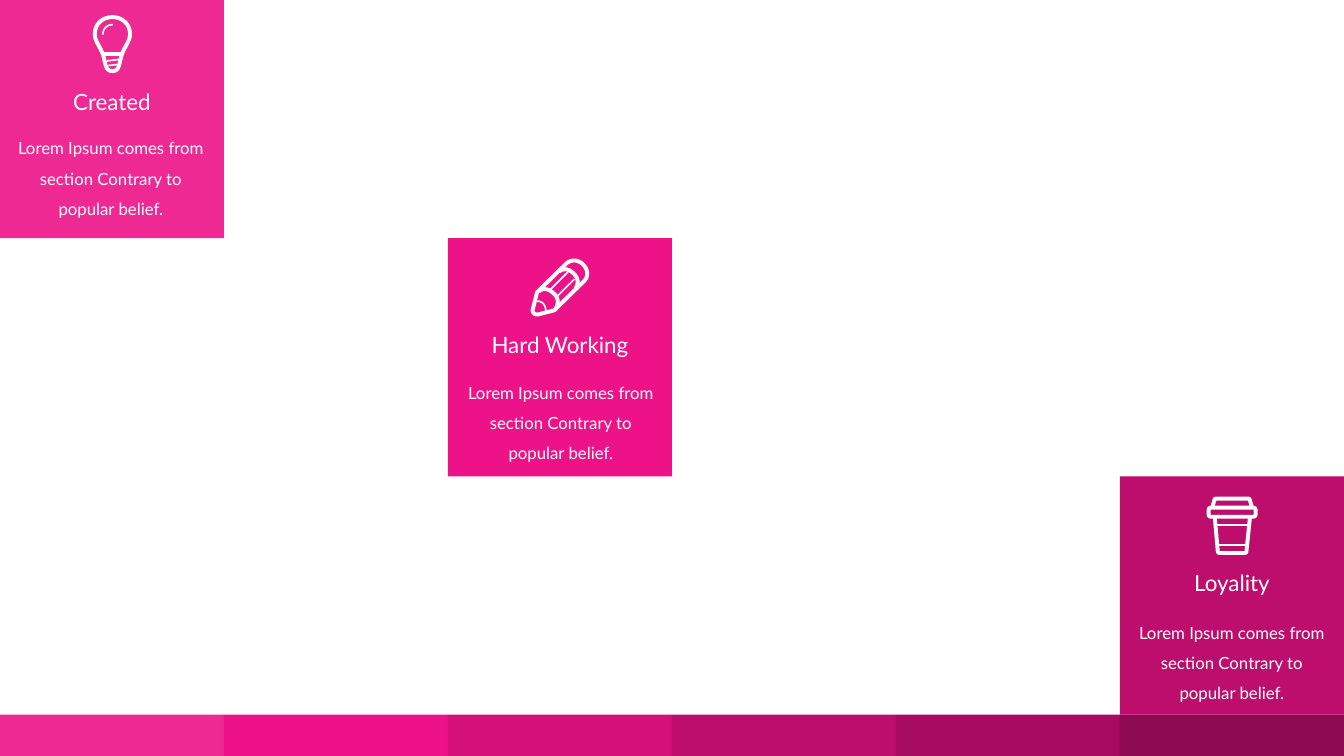
import pptx
import pptx.dml.color
import pptx.enum.shapes
import pptx.enum.text
import pptx.util
from lxml import etree

COLUMNS, ROWS = 6, 3
SHADES = ["EF2994", "EE1289", "D6107B", "BE0E6D", "A60C5F", "8E0A52"]
BODY = "Lorem Ipsum comes from section Contrary to popular belief."
THICK, THIN = 2.8, 1.2

# Icon strokes in hundredths of an inch: (weight, closed, start, *steps).
# A step of two numbers is a straight line, one of six is a cubic curve.
BULB = [
    (THICK, True, (19.5, 2), (9, 2, 2, 9.5, 2, 19), (2, 26, 8, 32, 10.5, 40),
     (13, 50, 13, 55.5, 19.5, 55.5), (26, 55.5, 26, 50, 28.5, 40),
     (31, 32, 37, 26, 37, 19), (37, 9.5, 30, 2, 19.5, 2)),
    (THICK, False, (10.5, 39), (28.5, 39)),
    (THIN, False, (14, 45.5), (26, 44)),
    (THIN, False, (15.5, 50), (24.5, 49)),
    (THIN, False, (10, 19.5), (10, 14, 14, 9.5, 20, 9.5)),
]
PENCIL = [
    (THICK, True, (2, 51), (6, 35), (6, 34, 7, 33, 8, 32), (35.5, 5),
     (40, 1, 47, 1, 52, 6), (57, 11, 57.5, 18, 53, 22.5), (25, 50),
     (24.5, 51, 24, 51, 23.5, 51.5), (8, 55.5), (4.5, 56.5, 1.5, 54, 2, 51)),
    (THICK, False, (8, 33), (12, 29, 18, 30, 23, 35), (28, 39, 28, 46, 24, 51)),
    (THICK, False, (28.5, 13), (33, 9, 39, 11, 43, 15.5),
     (47, 19, 48, 25, 44.5, 30)),
    (THIN, False, (20, 30.5), (37, 13.5)),
    (THIN, False, (26.5, 37.5), (43.5, 20.5)),
    (THIN, False, (6, 42.5), (11, 42, 15, 46, 15, 52)),
]
CUP = [
    (THICK, True, (4, 11), (46, 11), (47.5, 11, 48.5, 12, 48.5, 13), (48.5, 18),
     (48.5, 19, 47.5, 20, 46, 20), (4, 20), (3, 20, 2, 19, 2, 18), (2, 13),
     (2, 12, 3, 11, 4, 11)),
    (THICK, False, (5.5, 11), (7.5, 4), (8, 2.5, 8, 2, 9.5, 2), (41, 2),
     (42.5, 2, 42.5, 2.5, 43, 4), (45, 11)),
    (THICK, False, (8, 20), (11, 54), (11, 55.5, 12, 56, 13, 56), (37.5, 56),
     (38.5, 56, 39.5, 55.5, 39.5, 54), (43, 20)),
    (THIN, False, (10, 28), (41, 28)),
    (THIN, False, (12, 48), (38, 48)),
]


def color(code):
    return pptx.dml.color.RGBColor.from_string(code)


def inches(*lengths):
    return [pptx.util.Inches(length) for length in lengths]


def flatten(start, steps, slices=12):
    """Return the points of a stroke, with its curves cut into short lines."""
    points = [start]
    for step in steps:
        if len(step) == 2:
            points.append(step)
            continue
        anchors = [points[-1], step[:2], step[2:4], step[4:]]
        for part in range(1, slices + 1):
            t = part / slices
            weights = [(1 - t) ** 3, 3 * t * (1 - t) ** 2, 3 * t * t * (1 - t), t ** 3]
            points.append(tuple(sum(w * anchor[axis] for w, anchor in zip(weights, anchors))
                                for axis in (0, 1)))
    return points


class Deck:
    """Holds the style, the grid and the current slide."""

    font, ink = "Lato", "FFFFFF"
    width, height = 13.333, 7.5
    footer = 0.41

    def __init__(self):
        self.presentation = pptx.Presentation()
        self.presentation.slide_width, self.presentation.slide_height = inches(
            self.width, self.height)
        self.slide = self.presentation.slides.add_slide(self.presentation.slide_layouts[6])
        self.column = self.width / COLUMNS
        self.row = (self.height - self.footer) / ROWS

    def block(self, column, row, height, fill):
        rect = self.slide.shapes.add_shape(
            pptx.enum.shapes.MSO_SHAPE.RECTANGLE,
            *inches(column * self.column, row * self.row, self.column, height))
        rect.shadow.inherit = False
        rect.fill.solid()
        rect.fill.fore_color.rgb = color(fill)
        rect.line.fill.background()

    def text(self, words, left, top, width, height, size=12, spacing=1.0):
        frame = self.slide.shapes.add_textbox(*inches(left, top, width, height)).text_frame
        frame.word_wrap = True
        paragraph = frame.paragraphs[0]
        paragraph.text = words
        paragraph.alignment = pptx.enum.text.PP_ALIGN.CENTER
        paragraph.line_spacing = spacing
        paragraph.font.name = self.font
        paragraph.font.size = pptx.util.Pt(size)
        paragraph.font.color.rgb = color(self.ink)

    def icon(self, strokes, left, top):
        for weight, closed, start, *steps in strokes:
            points = [inches(left + x / 100, top + y / 100)
                      for x, y in flatten(start, steps)]
            if len(points) == 2:
                stroke = self.slide.shapes.add_connector(
                    pptx.enum.shapes.MSO_CONNECTOR.STRAIGHT, *points[0], *points[1])
                etree.SubElement(stroke.element.spPr, pptx.oxml.ns.qn("a:effectLst"))
            else:
                builder = self.slide.shapes.build_freeform(*points[0])
                builder.add_line_segments(points[1:], close=closed)
                stroke = builder.convert_to_shape()
                stroke.shadow.inherit = False
                stroke.fill.background()
            stroke.line.color.rgb = color(self.ink)
            stroke.line.width = pptx.util.Pt(weight)

    def card(self, column, row, fill, title, icon, icon_at, title_top, body_at):
        """Draw a colour block; icon, title and body are placed in inches from its corner."""
        left, top = column * self.column, row * self.row
        self.block(column, row, self.row, fill)
        self.icon(icon, left + icon_at[0], top + icon_at[1])
        self.text(title, left, top + title_top, self.column, 0.37, size=16)
        self.text(BODY, left + body_at[0], top + body_at[1], 2.2, 1.01, spacing=1.5)


def main():
    deck = Deck()
    for column, shade in enumerate(SHADES):
        deck.block(column, ROWS, deck.footer, shade)
    deck.card(0, 0, SHADES[0], "Created", BULB, (0.92, 0.15), 0.83, (0, 1.22))
    deck.card(2, 1, SHADES[1], "Hard Working", PENCIL, (0.82, 0.2), 0.87, (0.02, 1.28))
    deck.card(5, 2, SHADES[3], "Loyality", CUP, (0.86, 0.2), 0.87, (0.01, 1.3))
    deck.presentation.save("out.pptx")


if __name__ == "__main__":
    main()
